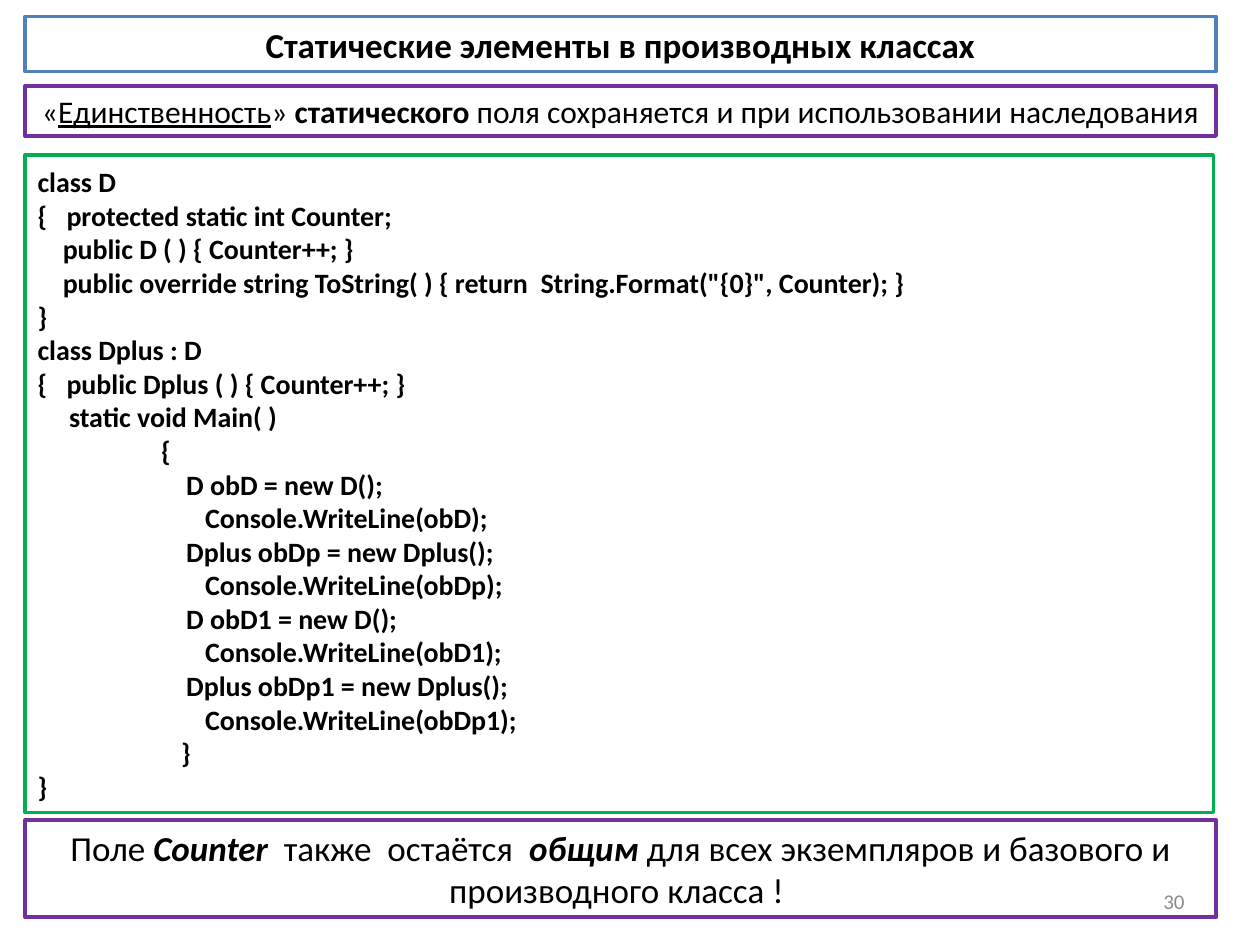
from pptx import Presentation
from pptx.dml.color import RGBColor
from pptx.enum.shapes import MSO_SHAPE
from pptx.enum.text import MSO_ANCHOR, PP_ALIGN
from pptx.util import Inches, Pt

RECTANGLE = MSO_SHAPE.RECTANGLE
MIDDLE = MSO_ANCHOR.MIDDLE
LEFT, CENTER, RIGHT = PP_ALIGN.LEFT, PP_ALIGN.CENTER, PP_ALIGN.RIGHT

FONT = "Calibri"
COLORS = {"text": "000000", "number": "8C8C8C", "blue": "4F81BD",
          "purple": "7030A0", "green": "00B050"}

# Content: runs are (text, style), style letters are b, i, u
TITLE = [("Статические элементы в производных классах", "b")]
RULE = [("«", ""), ("Единственность", "u"), ("» ", ""), ("статического", "b"),
        (" поля сохраняется и при использовании наследования", "")]
SUMMARY = [("Поле ", ""), ("Counter ", "bi"), (" также  остаётся  ", ""),
           ("общим", "bi"),
           (" для всех экземпляров и базового и производного класса ! ", "")]
PAGE_NUMBER = [("30", "")]

# Code lines: (left indent in inches, text); a tab jumps to the brace gap
BRACE_GAP = 0.23
MEMBER, METHOD, BODY, STATEMENT, OUTPUT, BODY_END = 0.2, 0.25, 0.98, 1.18, 1.33, 1.14
CODE = [
    (0, "class D"),
    (0, "{\tprotected static int Counter;"),
    (MEMBER, "public D ( ) { Counter++; }"),
    (MEMBER, "public override string ToString( ) { return  String.Format(\"{0}\", Counter); }"),
    (0, "}"),
    (0, "class Dplus : D"),
    (0, "{\tpublic Dplus ( ) { Counter++; }"),
    (METHOD, "static void Main( )"),
    (BODY, "{"),
    (STATEMENT, "D obD = new D();"),
    (OUTPUT, "Console.WriteLine(obD);"),
    (STATEMENT, "Dplus obDp = new Dplus();"),
    (OUTPUT, "Console.WriteLine(obDp);"),
    (STATEMENT, "D obD1 = new D();"),
    (OUTPUT, "Console.WriteLine(obD1);"),
    (STATEMENT, "Dplus obDp1 = new Dplus();"),
    (OUTPUT, "Console.WriteLine(obDp1);"),
    (BODY_END, "}"),
    (0, "}"),
]

# Frames: top, height, width, line colour, line width, text size, alignment, lines
BOX_LEFT, BOX_WIDTH = 0.2, 9.45
FRAMES = [
    (1.23, 5.22, 9.43, "green", 2, 16, LEFT, [[(text, "b")] for _, text in CODE]),
    (0.13, 0.44, BOX_WIDTH, "blue", 2, 20, CENTER, [TITLE]),
    (0.68, 0.4, BOX_WIDTH, "purple", 2.25, 18, CENTER, [RULE]),
    (6.51, 0.77, BOX_WIDTH, "purple", 2.25, 20, CENTER, [SUMMARY]),
]


def color(name):
    return RGBColor.from_string(COLORS[name])


def write(box, lines, size, align, text_color="text"):
    frame = box.text_frame
    frame.word_wrap = True
    frame.vertical_anchor = MIDDLE
    for index, line in enumerate(lines):
        para = frame.paragraphs[0] if index == 0 else frame.add_paragraph()
        para.alignment = align
        for text, style in line:
            span = para.add_run()
            span.text = text
            font = span.font
            font.name, font.size = FONT, Pt(size)
            font.color.rgb = color(text_color)
            font.bold, font.italic = "b" in style, "i" in style
            font.underline = "u" in style


def indent(para, left, first=0):
    properties = para._p.get_or_add_pPr()
    properties.set("marL", str(Inches(left)))
    properties.set("indent", str(Inches(first)))


deck = Presentation()
deck.slide_width, deck.slide_height = Inches(10), Inches(7.5)
page = deck.slides.add_slide(deck.slide_layouts[6])

# Framed text
boxes = []
for top, height, width, line_color, line_width, size, align, lines in FRAMES:
    box = page.shapes.add_shape(RECTANGLE, Inches(BOX_LEFT), Inches(top),
                                Inches(width), Inches(height))
    box.shadow.inherit = False
    box.fill.background()
    box.line.color.rgb = color(line_color)
    box.line.width = Pt(line_width)
    write(box, lines, size, align)
    boxes.append(box)

# Code indents
for para, (left, text) in zip(boxes[0].text_frame.paragraphs, CODE):
    if "\t" in text:
        indent(para, BRACE_GAP, -BRACE_GAP)
    else:
        indent(para, left)

# Page number
number = page.shapes.add_textbox(Inches(7.17), Inches(6.95), Inches(2.33), Inches(0.4))
write(number, [PAGE_NUMBER], 12, RIGHT, "number")

deck.save("out.pptx")
